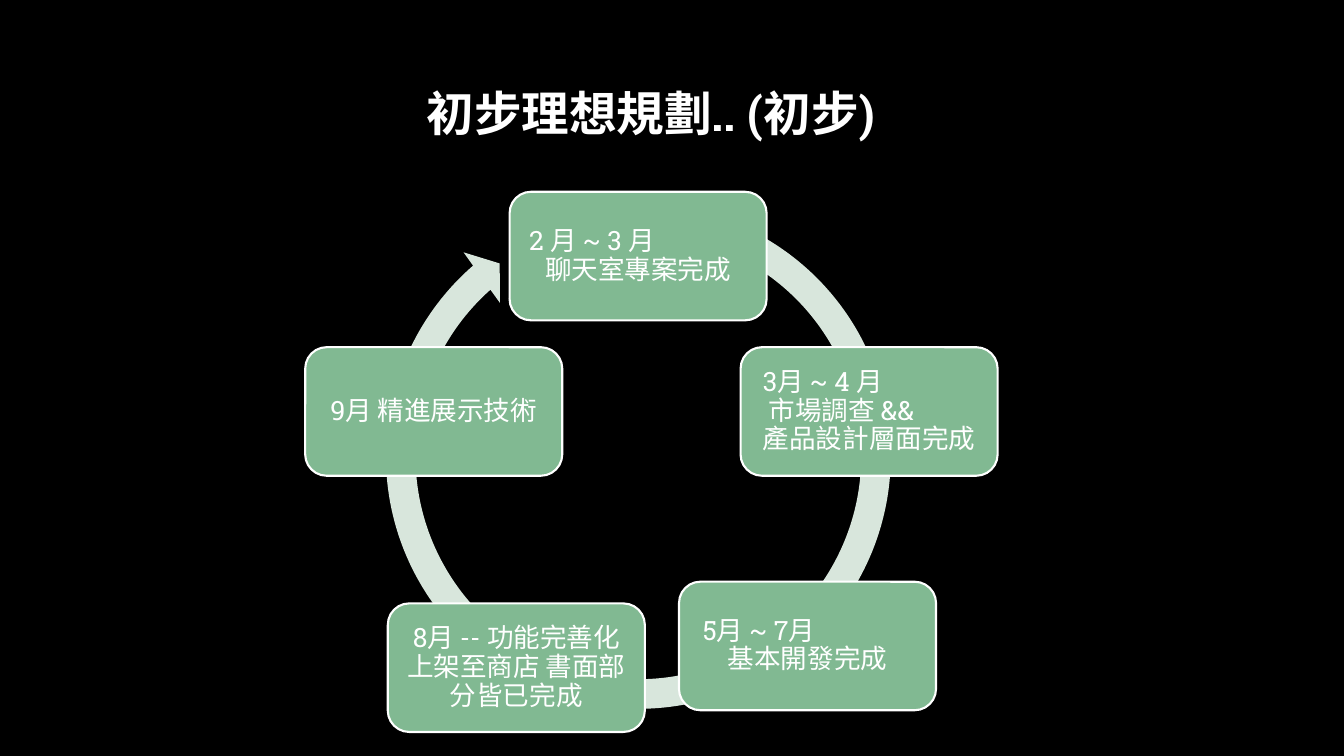
from dataclasses import dataclass

from pptx import Presentation
from pptx.dml.color import RGBColor
from pptx.enum.shapes import MSO_SHAPE
from pptx.enum.text import MSO_ANCHOR, PP_ALIGN
from pptx.util import Pt


@dataclass(frozen=True)
class Theme:
    background: RGBColor = RGBColor.from_string("000000")
    text: RGBColor = RGBColor.from_string("FFFFFF")
    step: RGBColor = RGBColor.from_string("81B992")
    ring: RGBColor = RGBColor.from_string("D8E6DC")
    font: str = "Roboto Slab"
    title_size: int = 34
    step_size: int = 19


THEME = Theme()
STEP_WIDTH, STEP_HEIGHT = 183.6, 91.8
RING_ADJUSTMENTS = (0.055, 3.307, 137.265, 174.161, 0.058)

# Each step: left and top within the cycle, then (line, left indent);
# a line without an indent is centred
STEPS = [
    (146, 3, [("2 月 ~ 3 月", 4), ("聊天室專案完成", None)]),
    (311, 114, [("3月 ~ 4 月", 6), ("市場調查 &&", 10), ("產品設計層面完成", None)]),
    (267, 281.5, [("5月 ~ 7月", 7), ("基本開發完成", None)]),
    (59, 297, [("8月 -- 功能完善化 上架至商店 書面部分皆已完成", None)]),
    (0, 114, [("9月 精進展示技術", None)]),
]


def write(paragraph, text, size, bold=False, indent=None):
    paragraph.alignment = PP_ALIGN.CENTER if indent is None else PP_ALIGN.LEFT
    paragraph.line_spacing = 0.9
    paragraph.space_before = paragraph.space_after = Pt(0)
    if indent is not None:
        paragraph._p.get_or_add_pPr().set("marL", str(Pt(indent)))
    run = paragraph.add_run()
    run.text = text
    run.font.name = THEME.font
    run.font.size = Pt(size)
    run.font.bold = bold
    run.font.color.rgb = THEME.text


def place_title(slide, left, top, width, height):
    title = slide.shapes.title
    title.left, title.top = Pt(left), Pt(top)
    title.width, title.height = Pt(width), Pt(height)
    title.text_frame.vertical_anchor = MSO_ANCHOR.MIDDLE
    write(title.text_frame.paragraphs[0], "初步理想規劃.. (初步)",
          THEME.title_size, bold=True)


def add_block(slide, preset, left, top, width, height, color):
    block = slide.shapes.add_shape(preset, Pt(left), Pt(top), Pt(width), Pt(height))
    block.shadow.inherit = False
    block.fill.solid()
    block.fill.fore_color.rgb = color
    block.line.fill.background()
    return block


def add_step(slide, left, top, lines):
    step = add_block(slide, MSO_SHAPE.ROUNDED_RECTANGLE, left, top,
                     STEP_WIDTH, STEP_HEIGHT, THEME.step)
    step.line.color.rgb = THEME.text
    step.line.width = Pt(1.5)
    frame = step.text_frame
    frame.word_wrap = True
    frame.vertical_anchor = MSO_ANCHOR.MIDDLE
    # The rounded corners add about 4.5 pt to each margin
    frame.margin_left = frame.margin_right = Pt(5.5)
    frame.margin_top = frame.margin_bottom = Pt(3)
    for index, (line, indent) in enumerate(lines):
        paragraph = frame.add_paragraph() if index else frame.paragraphs[0]
        write(paragraph, line, THEME.step_size, indent=indent)


def add_cycle(slide, left, top, ring_size):
    # Ring with its arrowhead, behind the steps
    ring = add_block(slide, MSO_SHAPE.CIRCULAR_ARROW, left + 46, top,
                     ring_size, ring_size, THEME.ring)
    for index, value in enumerate(RING_ADJUSTMENTS):
        ring.adjustments[index] = value
    # Steps, clockwise from the top
    for step_left, step_top, lines in STEPS:
        add_step(slide, left + step_left, top + step_top, lines)


def main():
    deck = Presentation()
    deck.slide_width, deck.slide_height = Pt(960), Pt(540)
    slide = deck.slides.add_slide(deck.slide_layouts[5])
    slide.background.fill.solid()
    slide.background.fill.fore_color.rgb = THEME.background
    place_title(slide, 57.5, 31, 815, 104.5)
    add_cycle(slide, 218, 134, 384)
    deck.save("out.pptx")


if __name__ == "__main__":
    main()
